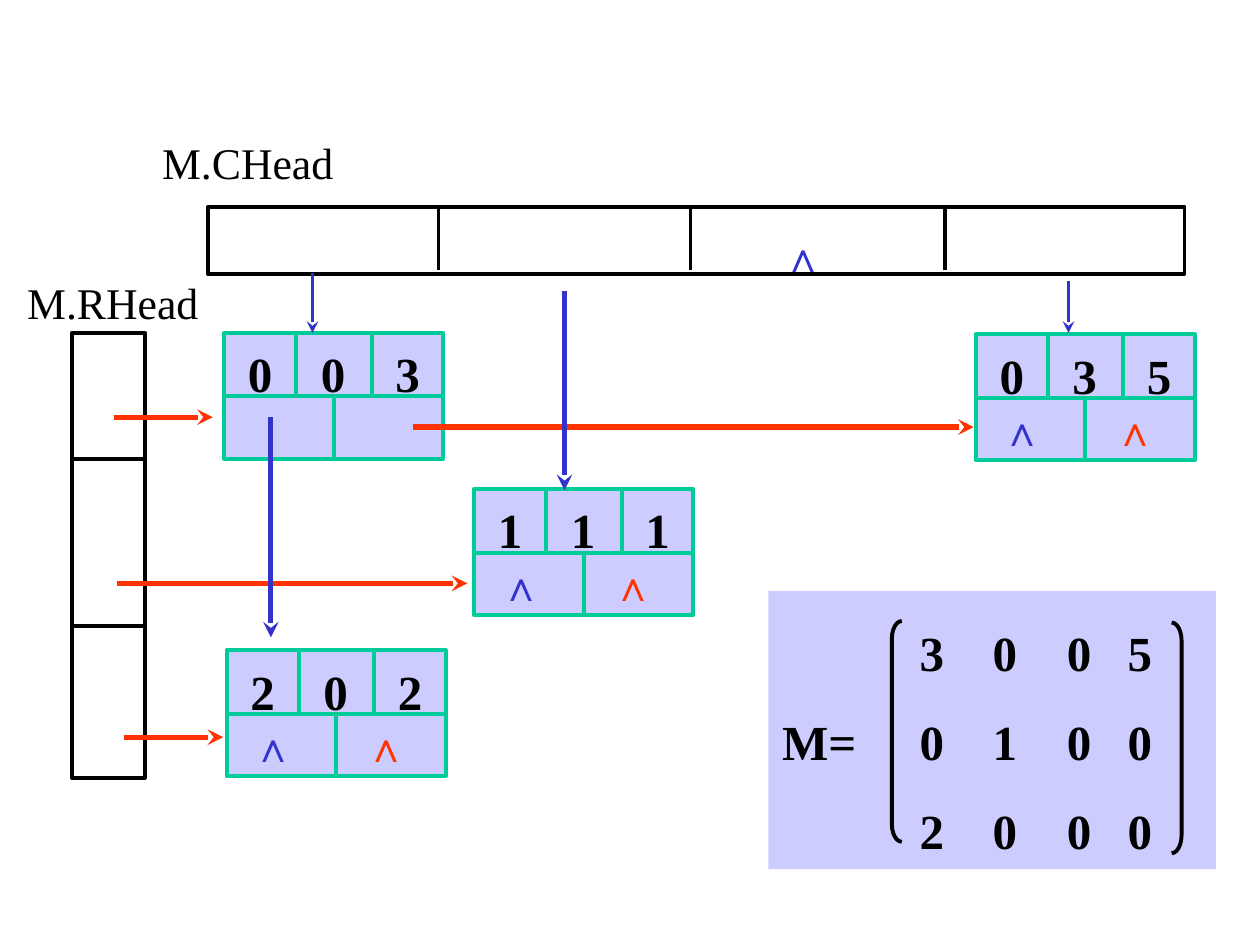
import pptx
import pptx.dml.color
import pptx.enum.shapes
import pptx.enum.text
import pptx.oxml.ns
import pptx.util
from lxml import etree

Cm = pptx.util.Cm
Shapes = pptx.enum.shapes.MSO_SHAPE
qn = pptx.oxml.ns.qn

BLACK, BLUE, RED = "000000", "3333CC", "FF3300"
GREEN, LILAC = "00CC99", "CCCCFF"


def color(hex_string):
    return pptx.dml.color.RGBColor.from_string(hex_string)


def write_text(shape, text, size=28, bold=True, ink=BLACK, wrap=True,
               insets=(0.25, 0.22, 0.25, 0.13), tabs=()):
    frame = shape.text_frame
    frame.word_wrap = wrap
    frame.vertical_anchor = pptx.enum.text.MSO_ANCHOR.TOP
    frame.margin_left, frame.margin_top, frame.margin_right, frame.margin_bottom = map(Cm, insets)
    paragraph = frame.paragraphs[0]
    paragraph.alignment = pptx.enum.text.PP_ALIGN.LEFT
    if tabs:
        tab_list = etree.SubElement(paragraph._p.get_or_add_pPr(), qn("a:tabLst"))
        for position in tabs:
            etree.SubElement(tab_list, qn("a:tab"), pos=str(Cm(position)), algn="l")
    run = paragraph.add_run()
    run.text = text
    run.font.name = "Times New Roman"
    run.font.size = pptx.util.Pt(size)
    run.font.bold = bold
    run.font.color.rgb = color(ink)


class Diagram:
    thin, thick = 2.25, 3

    def __init__(self, slide):
        self.slide = slide

    def shape(self, kind, left, top, width, height, fill=None, line=None):
        shape = self.slide.shapes.add_shape(kind, Cm(left), Cm(top), Cm(width), Cm(height))
        shape.shadow.inherit = False
        if fill:
            shape.fill.solid()
            shape.fill.fore_color.rgb = color(fill)
        else:
            shape.fill.background()
        if line:
            shape.line.color.rgb = color(line)
            shape.line.width = pptx.util.Pt(self.thin)
        else:
            shape.line.fill.background()
        return shape

    def line(self, x1, y1, x2, y2, ink, width=thin):
        connector = self.slide.shapes.add_connector(
            pptx.enum.shapes.MSO_CONNECTOR.STRAIGHT, Cm(x1), Cm(y1), Cm(x2), Cm(y2))
        connector.line.color.rgb = color(ink)
        connector.line.width = pptx.util.Pt(width)
        etree.SubElement(connector._element.spPr, qn("a:effectLst"))
        return connector

    def arrow(self, x1, y1, x2, y2, ink, width=thick):
        connector = self.line(x1, y1, x2, y2, ink, width)
        etree.SubElement(connector.line._get_or_add_ln(), qn("a:tailEnd"), type="stealth")

    def text(self, text, left, top, width, height, **text_format):
        box = self.slide.shapes.add_textbox(Cm(left), Cm(top), Cm(width), Cm(height))
        write_text(box, text, **text_format)

    def null_link(self, left, top, ink):
        self.text("∧", left, top, 1.04, 1.02, size=24, ink=ink, insets=(0, 0, 0, 0))

    def node(self, left, top, values, is_last=True):
        box = self.shape(Shapes.RECTANGLE, left, top, 4.42, 2.54, LILAC, GREEN)
        write_text(box, "\t".join(values), insets=(0.48, 0.22, 0, 0), tabs=(1.47, 2.97))
        self.line(left, top + 1.28, left + 4.42, top + 1.28, GREEN)
        for x, start, end in ((1.45, 0, 1.32), (2.97, 0, 1.32), (2.21, 1.28, 2.54)):
            self.line(left + x, top + start, left + x, top + end, GREEN)
        if is_last:
            self.null_link(left + 0.53, top + 1.41, BLUE)
            self.null_link(left + 2.79, top + 1.41, RED)

    def matrix(self, rows):
        self.shape(Shapes.RECTANGLE, 15.49, 11.91, 9.02, 5.61, LILAC)
        self.text("M=", 15.52, 14.12, 2.29, 1.45)
        for index, row in enumerate(rows):
            self.text("\t".join(row), 18.29, 12.32 + 1.8 * index, 5.36, 1.45,
                      tabs=(1.47, 2.97, 4.19))
        for kind, left, top, height, curve in (
                (Shapes.LEFT_BRACKET, 17.98, 12.52, 4.45, 1.75),
                (Shapes.RIGHT_BRACKET, 23.62, 12.55, 4.65, 1.83)):
            bracket = self.shape(kind, left, top, 0.2, height, line=BLACK)
            bracket.adjustments[0] = curve


def main():
    presentation = pptx.Presentation()
    presentation.slide_width, presentation.slide_height = Cm(25.4), Cm(19.05)
    diagram = Diagram(presentation.slides.add_slide(presentation.slide_layouts[6]))

    diagram.shape(Shapes.RECTANGLE, 4.19, 4.17, 19.69, 1.35, line=BLACK)
    for x in (8.84, 13.92, 19.05):
        diagram.line(x, 4.17, x, 5.44, BLACK)
    diagram.null_link(15.77, 4.65, BLUE)

    diagram.shape(Shapes.RECTANGLE, 1.45, 6.71, 1.47, 8.97, line=BLACK)
    for y in (9.25, 12.62):
        diagram.line(1.45, y, 2.92, y, BLACK)

    for label, left, top in (("M.CHead", 3.02, 2.51), ("M.RHead", 0.3, 5.33)):
        diagram.text(label, left, top, 3.99, 1.32, size=25, bold=False, wrap=False)

    diagram.node(4.52, 6.71, "003", is_last=False)
    diagram.node(19.67, 6.74, "035")
    diagram.node(9.56, 9.86, "111")
    diagram.node(4.57, 13.11, "202")
    diagram.matrix(("3005", "0100", "2000"))

    for x1, x2, y in ((2.29, 4.29, 8.41), (8.33, 19.63, 8.61),
                      (2.36, 9.42, 11.76), (2.49, 4.5, 14.86)):
        diagram.arrow(x1, y, x2, y, RED)
    for x, y1, y2, width in ((6.3, 5.51, 6.71, diagram.thin), (21.54, 5.66, 6.71, diagram.thin),
                             (11.38, 5.87, 9.88, diagram.thick), (5.46, 8.41, 12.85, diagram.thick)):
        diagram.arrow(x, y1, x, y2, BLUE, width)

    presentation.save("out.pptx")


if __name__ == "__main__":
    main()
